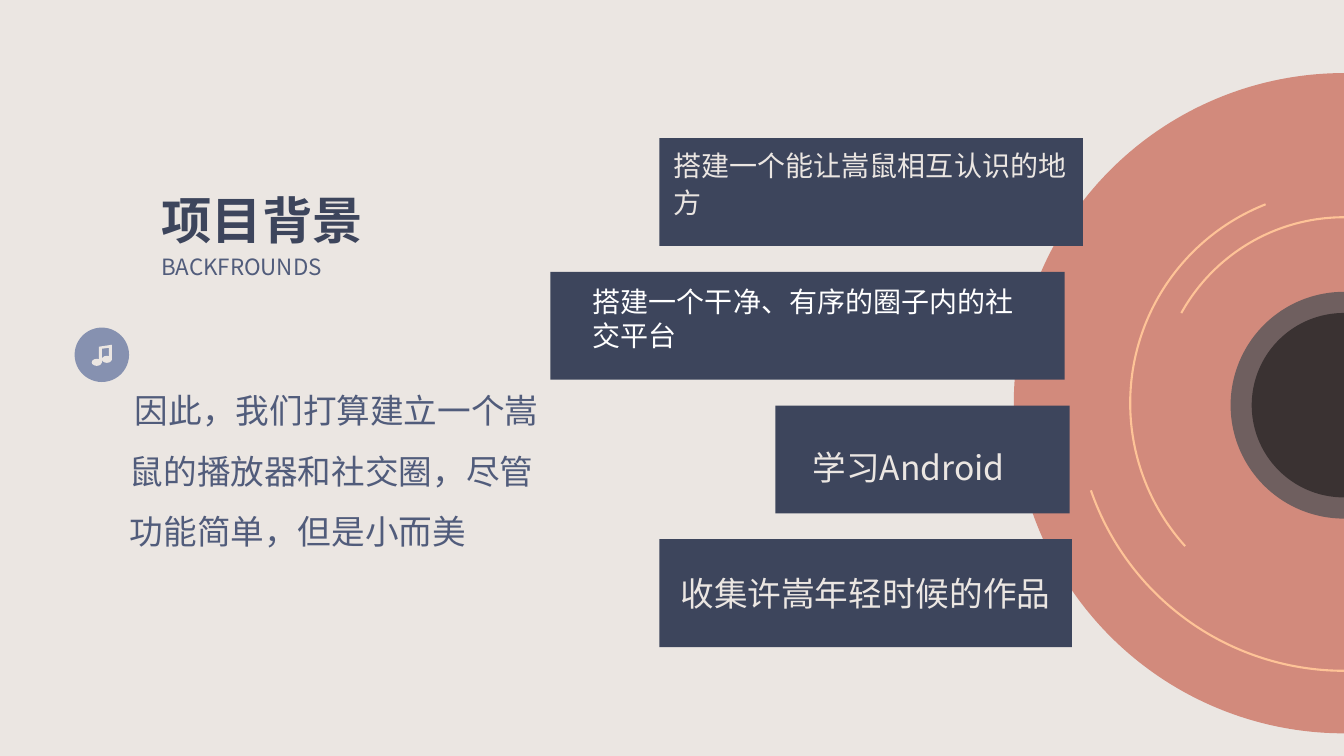
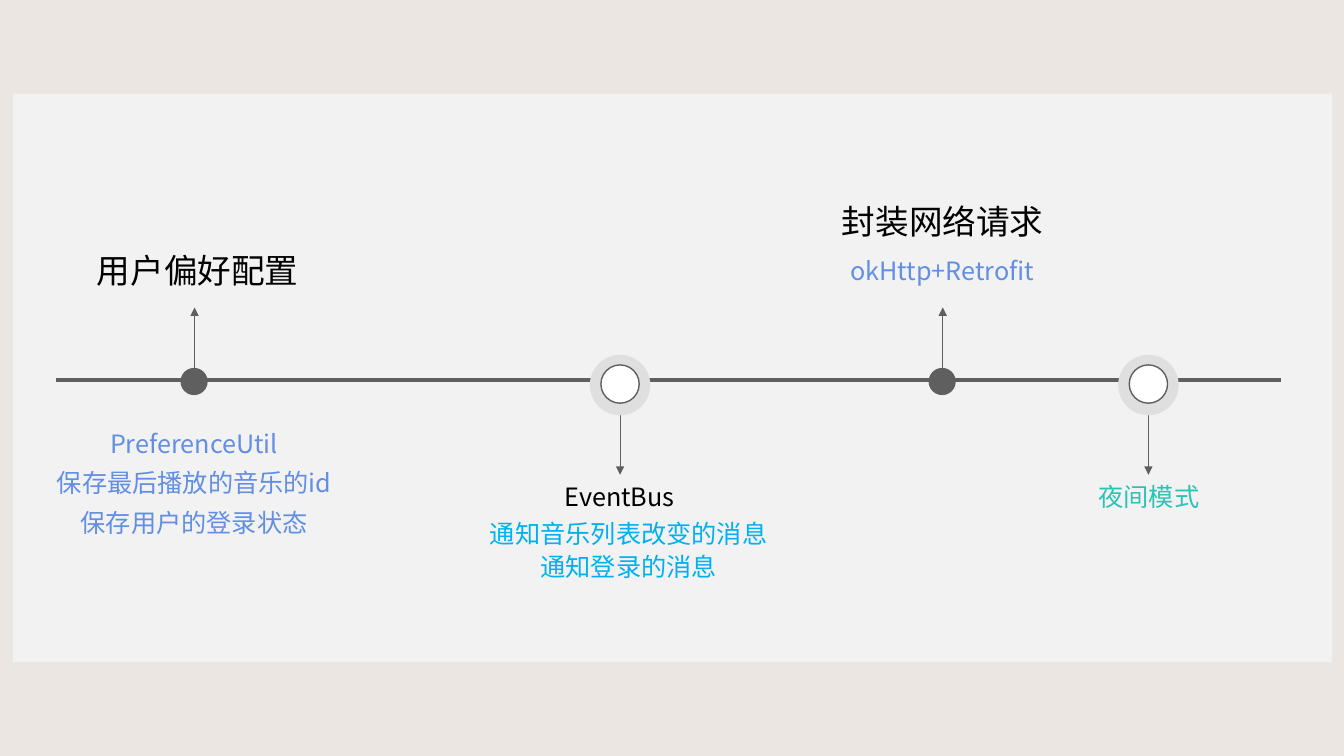
from dataclasses import dataclass

from lxml.etree import SubElement
from pptx import Presentation
from pptx.dml.color import RGBColor
from pptx.enum.shapes import MSO_CONNECTOR, MSO_SHAPE as Preset
from pptx.enum.text import MSO_ANCHOR as Anchor, MSO_AUTO_SIZE, PP_ALIGN as Align
from pptx.oxml.ns import qn
from pptx.util import Inches, Pt


@dataclass(frozen=True)
class Theme:
    cream: str = "EBE6E2"
    navy: str = "3D455C"
    slate: str = "515C7B"
    badge: str = "8691B0"
    coral: str = "D28A7C"
    groove: str = "FEC397"
    label: str = "6F5F5F"
    hub: str = "3A3232"
    panel: str = "F2F2F2"
    gray: str = "5F5F5F"
    halo: str = "DFDFDF"
    white: str = "FFFFFF"
    black: str = "000000"
    blue: str = "628EE3"
    sky: str = "00B0F0"
    teal: str = "2BC3B5"
    font: str = "Noto Sans CJK SC"
    display_font: str = "Noto Sans CJK JP"
    title: int = 36
    large: int = 24
    medium: int = 20
    body: int = 18
    small: int = 16


theme = Theme()


def write(frame, text, *, size, color, font=theme.font, bold=False, align=Align.LEFT,
          spacing=1.0, anchor=Anchor.TOP, wrap=True, indent=0):
    frame.word_wrap = wrap
    frame.auto_size = MSO_AUTO_SIZE.NONE
    frame.vertical_anchor = anchor
    for index, line in enumerate(text.split("\n")):
        para = frame.add_paragraph() if index else frame.paragraphs[0]
        para.alignment = align
        para.line_spacing = spacing
        para.space_before = Pt(0)
        if indent:
            para._p.get_or_add_pPr().set("indent", str(Inches(indent)))
        span = para.add_run()
        span.text = line
        span.font.size = Pt(size)
        span.font.bold = bold
        span.font.color.rgb = RGBColor.from_string(color)
        span.font.name = font
        SubElement(span._r.get_or_add_rPr(), qn("a:ea"), typeface=font)


def draw(page, preset, left, top, width, height, fill=None, line=None, weight=1):
    shape = page.shapes.add_shape(
        preset, Inches(left), Inches(top), Inches(width), Inches(height))
    shape.shadow.inherit = False
    if fill:
        shape.fill.solid()
        shape.fill.fore_color.rgb = RGBColor.from_string(fill)
    else:
        shape.fill.background()
    if line:
        shape.line.color.rgb = RGBColor.from_string(line)
        shape.line.width = Pt(weight)
    else:
        shape.line.fill.background()
    return shape


deck = Presentation()
deck.slide_width = Inches(13.33)
deck.slide_height = Inches(7.5)
backdrop = deck.slide_master.background.fill
backdrop.solid()
backdrop.fore_color.rgb = RGBColor.from_string(theme.cream)

page = deck.slides.add_slide(deck.slide_layouts[5])
title = page.shapes.title
title.left, title.top = Inches(1.5), Inches(1.83)
title.width, title.height = Inches(2.21), Inches(0.71)
write(title.text_frame, "项目背景", size=theme.title, color=theme.navy,
      font=theme.display_font, bold=True, wrap=False)

center_x = 13.33
for center_y, diameter, color in [
    (4, 6.55, theme.coral), (4.02, 2.25, theme.label), (4.02, 1.83, theme.hub),
]:
    draw(page, Preset.OVAL, center_x - diameter / 2, center_y - diameter / 2,
         diameter, diameter, fill=color)

for diameter, start, end in [(5.31, 90, 161), (4.24, 138, 248.5), (3.69, 209, 270)]:
    arc = draw(page, Preset.ARC, center_x - diameter / 2, 4 - diameter / 2,
               diameter, diameter, line=theme.groove, weight=1.5)
    arc.adjustments[0] = start * 0.6
    arc.adjustments[1] = end * 0.6

first_top, last_top = 1.37, 5.35
goals = [
    ("搭建一个能让嵩鼠相互认识的地方", 6.54, 4.2, (0.14, 0.07, 0.11), theme.medium, 1.1, theme.cream),
    ("搭建一个干净、有序的圈子内的社交平台", 5.46, 5.1, (0.42, 0.13, 0.44), theme.medium, 1.0, theme.white),
    ("学习Android", 7.69, 2.92, (0.37, 0.21, 0.1), theme.large, 1.5, theme.cream),
    ("收集许嵩年轻时候的作品", 6.54, 4.09, (0.21, 0.13, 0.1), theme.large, 1.5, theme.cream),
]
pitch = (last_top - first_top) / (len(goals) - 1)
for index, (text, left, width, insets, size, spacing, color) in enumerate(goals):
    bar = draw(page, Preset.RECTANGLE, left, first_top + index * pitch, width, 1.07, fill=theme.navy)
    frame = bar.text_frame
    frame.margin_left, frame.margin_top, frame.margin_right = map(Inches, insets)
    write(frame, text, size=size, color=color, spacing=spacing)

draw(page, Preset.OVAL, 0.74, 3.25, 0.54, 0.54, fill=theme.badge)
for left, top in [(0.91, 3.56), (1.01, 3.53)]:
    draw(page, Preset.OVAL, left, top, 0.1, 0.07, fill=theme.cream)
outline = [(0.98, 3.59), (0.98, 3.44), (1.11, 3.42), (1.11, 3.57),
           (1.08, 3.57), (1.08, 3.45), (1.01, 3.46), (1.01, 3.6)]
points = [(Inches(x), Inches(y)) for x, y in outline]
builder = page.shapes.build_freeform(*points[0])
builder.add_line_segments(points[1:], close=True)
note = builder.convert_to_shape()
note.shadow.inherit = False
note.fill.solid()
note.fill.fore_color.rgb = RGBColor.from_string(theme.cream)
note.line.fill.background()

subtitle = page.shapes.add_textbox(Inches(1.5), Inches(2.46), Inches(1.87), Inches(0.37))
write(subtitle.text_frame, "BACKFROUNDS", size=theme.small, color=theme.slate, wrap=False)
summary = page.shapes.add_textbox(Inches(1.19), Inches(3.62), Inches(4.28), Inches(2.22))
write(summary.text_frame, "因此，我们打算建立一个嵩鼠的播放器和社交圈，尽管功能简单，但是小而美",
      size=theme.large, color=theme.slate, font=theme.display_font, spacing=1.5, indent=0.05)

page = deck.slides.add_slide(deck.slide_layouts[6])
draw(page, Preset.RECTANGLE, 0.13, 0.93, 13.08, 5.64, fill=theme.panel)

dots = [1.93, 9.35]
rings = [6.15, 11.39]
lines = [(0.56, 3.77, 12.71, 3.77, 2.25, False)]
lines += [(x, 3.65, x, 3.05, 0.5, True) for x in dots]
lines += [(x, 4.11, x, 4.71, 0.5, True) for x in rings]
for x1, y1, x2, y2, weight, arrow in lines:
    connector = page.shapes.add_connector(
        MSO_CONNECTOR.STRAIGHT, Inches(x1), Inches(y1), Inches(x2), Inches(y2))
    connector.line.color.rgb = RGBColor.from_string(theme.gray)
    connector.line.width = Pt(weight)
    if arrow:
        SubElement(connector.line._get_or_add_ln(), qn("a:tailEnd"), type="triangle")
    SubElement(connector._element.spPr, qn("a:effectLst"))

for x in dots:
    draw(page, Preset.OVAL, x - 0.14, 3.65, 0.27, 0.27, fill=theme.gray)
for x in rings:
    draw(page, Preset.OVAL, x - 0.3, 3.52, 0.6, 0.6, fill=theme.halo)
    draw(page, Preset.OVAL, x - 0.19, 3.62, 0.38, 0.38, fill=theme.white, line=theme.gray)

for text, left, top, width, height, size, color, spacing, anchor in [
    ("用户偏好配置", 0.77, 1.83, 2.38, 1.1, theme.large, theme.black, 1.1, Anchor.BOTTOM),
    ("PreferenceUtil\n保存最后播放的音乐的id\n保存用户的登录状态",
     0.33, 4.11, 3.19, 1.4, theme.body, theme.blue, 1.3, Anchor.TOP),
    ("EventBus", 4.98, 4.64, 2.33, 0.65, theme.body, theme.black, 1.3, Anchor.TOP),
    ("通知音乐列表改变的消息\n通知登录的消息",
     4.68, 5.06, 3.11, 1.1, theme.body, theme.sky, 1.1, Anchor.TOP),
    ("封装网络请求", 8.16, 1.34, 2.38, 1.1, theme.large, theme.black, 1.1, Anchor.BOTTOM),
    ("okHttp+Retrofit", 8.18, 2.39, 2.33, 0.65, theme.body, theme.blue, 1.3, Anchor.TOP),
    ("夜间模式", 10.23, 4.64, 2.33, 0.65, theme.body, theme.teal, 1.3, Anchor.TOP),
]:
    box = page.shapes.add_textbox(Inches(left), Inches(top), Inches(width), Inches(height))
    write(box.text_frame, text, size=size, color=color, spacing=spacing,
          anchor=anchor, align=Align.CENTER)

deck.save("out.pptx")
